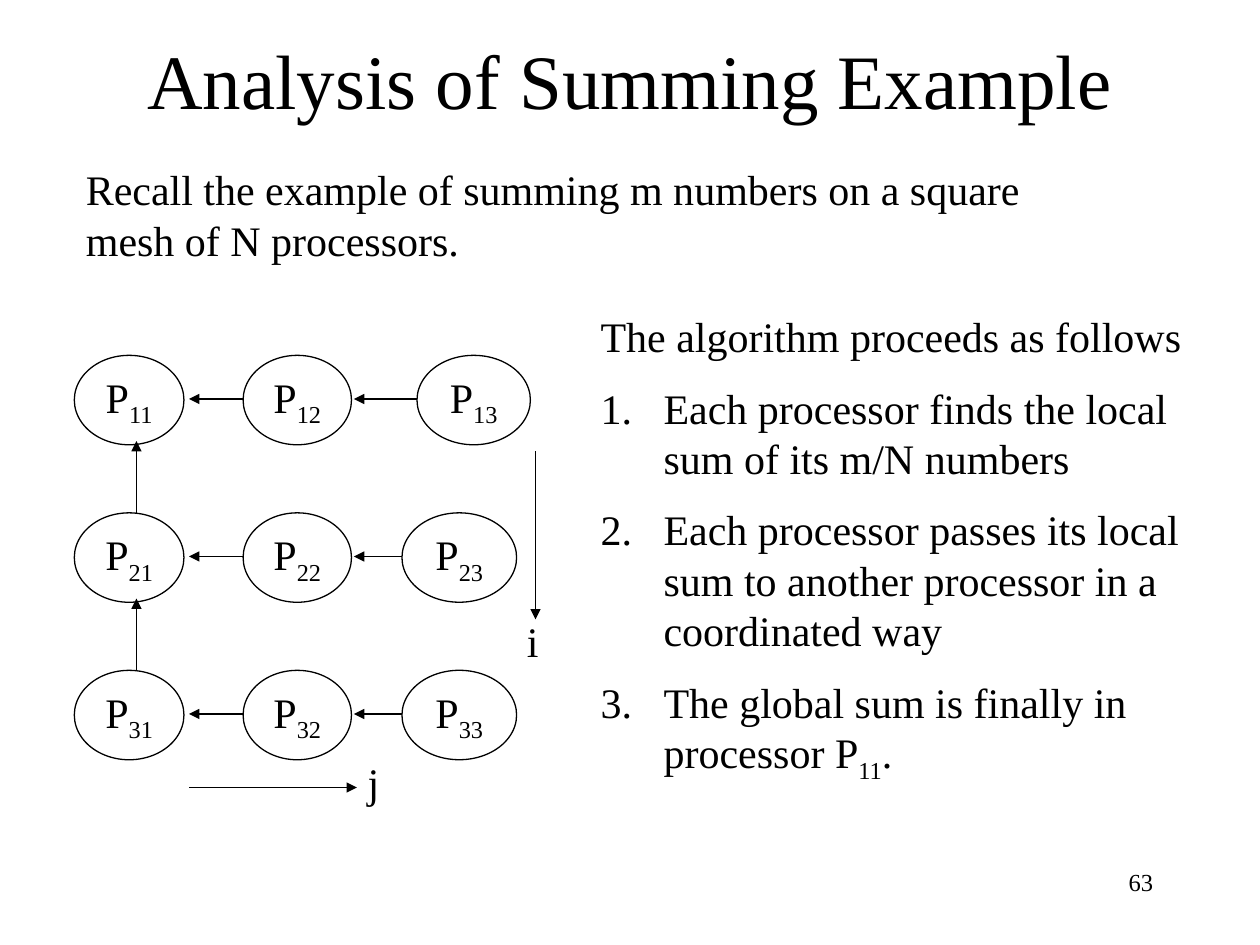
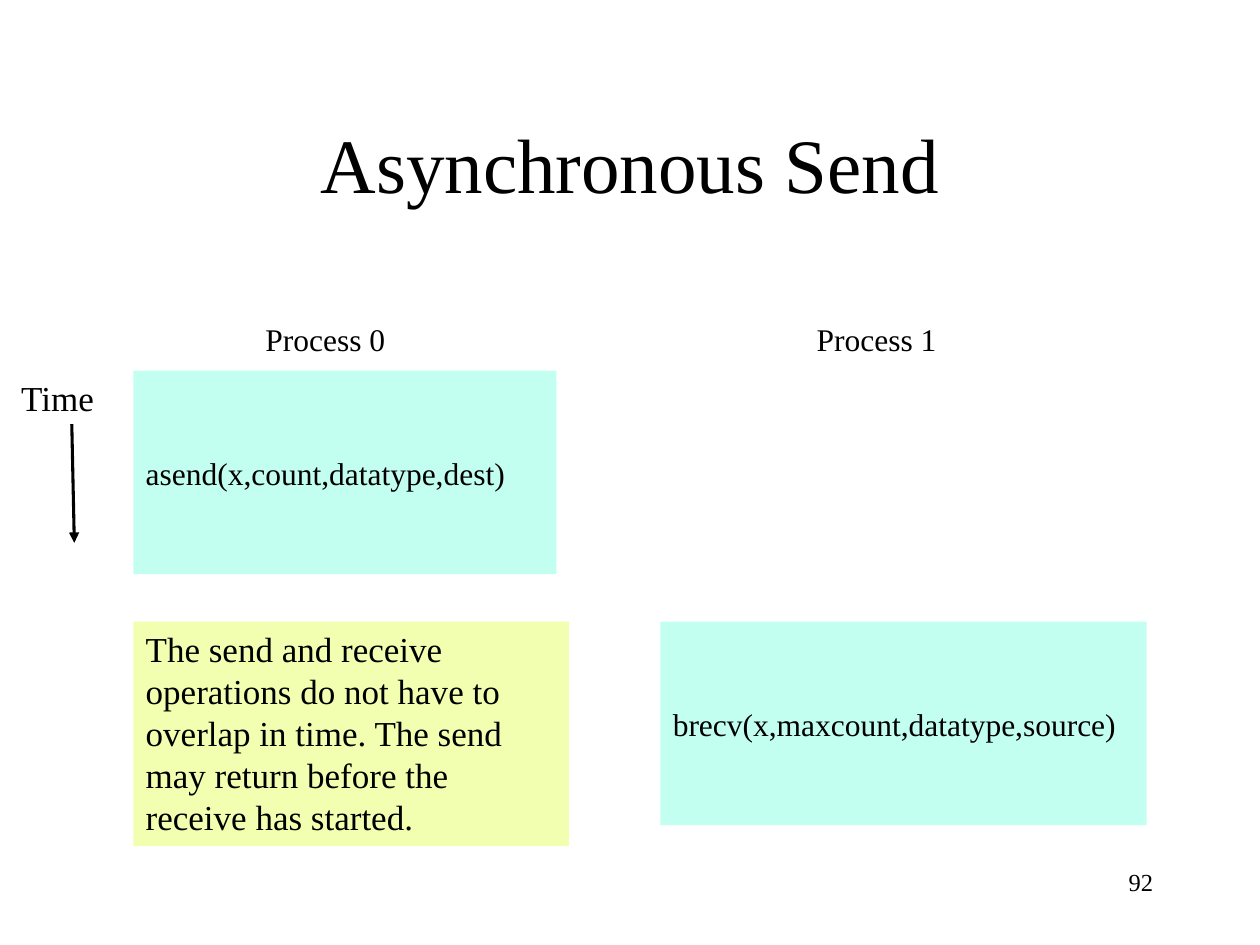
"""Build the summing and asynchronous send slides."""
from dataclasses import dataclass
from typing import NamedTuple

from lxml.etree import SubElement
from pptx import Presentation
from pptx.dml.color import RGBColor
from pptx.enum.shapes import MSO_CONNECTOR, MSO_SHAPE
from pptx.enum.text import MSO_ANCHOR, MSO_AUTO_SIZE, PP_ALIGN
from pptx.oxml.ns import qn
from pptx.shapes.base import BaseShape
from pptx.slide import Slide
from pptx.util import Inches, Pt


@dataclass(frozen=True)
class Theme:
    """Colours, type and line sizes of the deck."""
    font: str = "Times New Roman"
    ink: RGBColor = RGBColor(0, 0, 0)
    paper: RGBColor = RGBColor(255, 255, 255)
    call: RGBColor = RGBColor(0xC2, 0xFF, 0xF0)
    note: RGBColor = RGBColor(0xF3, 0xFF, 0xB0)
    title: int = 44
    body: int = 24
    remark: int = 20
    code: int = 18
    number: int = 14
    thin: float = 0.75
    thick: float = 1.75
    gap: int = 12


class Frame(NamedTuple):
    """A rectangle in grid columns and rows."""
    left: float
    top: float
    width: float
    height: float


class Span(NamedTuple):
    """A piece of text, on the line or as subscript."""
    text: str
    lowered: bool = False


class Arrow(NamedTuple):
    """A line with its head at the end, in grid columns and rows."""
    start_column: float
    start_row: float
    end_column: float
    end_row: float


class Label(NamedTuple):
    """A text box with its type size."""
    text: str
    frame: Frame
    size: int
    wrap: bool = True


class Panel(NamedTuple):
    """A filled rectangle holding left-aligned text."""
    text: str
    frame: Frame
    fill: RGBColor
    size: int
    anchor: MSO_ANCHOR


class Oval(NamedTuple):
    """The left edge and width of a processor oval."""
    left: float
    width: float


THEME = Theme()
SLIDE_WIDTH, SLIDE_HEIGHT = Inches(10), Inches(7.5)
COLUMNS, ROWS = 120, 90
NUMBER_FRAME = Frame(86, 82, 25, 6)
TITLE_HEIGHT = 15

FIRST_OVALS = (Oval(7.08, 10.44), Oval(23.16, 10.32), Oval(39.72, 10.8))
OTHER_OVALS = FIRST_OVALS[:2] + (Oval(38.28, 10.92),)
MESH = (FIRST_OVALS, OTHER_OVALS, OTHER_OVALS)
MESH_PITCH = 15
ARROW_STARTS = (25, 40.7)
ARROW_LENGTH = 7

INTRO = "Recall the example of summing m numbers on a square mesh of N processors."
STEPS = (
    (Span("The algorithm proceeds as follows"),),
    (Span("Each processor finds the local sum of its m/N numbers"),),
    (Span("Each processor passes its local sum to another processor in a coordinated way"),),
    (Span("The global sum is finally in processor P"), Span("11", True), Span(".")),
)
SUMMING_LABELS = (
    Label("j", Frame(33.84, 71.5, 3.5, 6), THEME.body, False),
    Label("i", Frame(49, 58, 3.5, 6), THEME.body, False),
    Label(INTRO, Frame(7, 15, 97, 10.8), THEME.body),
)
AXES = (Arrow(18, 75, 34, 75), Arrow(51, 43, 51, 59))

SEND_LABELS = (
    Label("Process 0", Frame(24.1, 29.9, 16.1, 4.8), THEME.code),
    Label("Process 1", Frame(76.6, 29.9, 16.1, 4.8), THEME.code),
    Label("Time", Frame(0.84, 35.3, 11.9, 5.3), THEME.remark),
)
PANELS = (
    Panel("asend(x,count,datatype,dest)", Frame(12.7, 35.3, 40.3, 19.4),
          THEME.call, THEME.code, MSO_ANCHOR.MIDDLE),
    Panel("brecv(x,maxcount,datatype,source)", Frame(62.9, 59.2, 46.3, 19.4),
          THEME.call, THEME.code, MSO_ANCHOR.MIDDLE),
    Panel("The send and receive operations do not have to overlap in time. "
          "The send may return before the receive has started.",
          Frame(12.7, 59.2, 41.5, 21.4), THEME.note, THEME.remark, MSO_ANCHOR.TOP),
)


def across(columns: float) -> int:
    """Turn grid columns into a length."""
    return round(SLIDE_WIDTH * columns / COLUMNS)


def down(rows: float) -> int:
    """Turn grid rows into a length."""
    return round(SLIDE_HEIGHT * rows / ROWS)


def place(frame: Frame) -> tuple[int, int, int, int]:
    """Give the position and size of a frame."""
    return across(frame.left), down(frame.top), across(frame.width), down(frame.height)


def write(para, spans: tuple[Span, ...], size: int, align: PP_ALIGN = PP_ALIGN.LEFT) -> None:
    """Add spans to a paragraph, run by run."""
    para.alignment = align
    for span in spans:
        run = para.add_run()
        run.text = span.text
        run.font.name = THEME.font
        run.font.size = Pt(size)
        run.font.color.rgb = THEME.ink
        if span.lowered:
            run.font._element.set("baseline", "-25000")


def settle(box: BaseShape, frame: Frame, anchor: MSO_ANCHOR) -> None:
    """Move a placeholder and fix how its text sits."""
    box.left, box.top, box.width, box.height = place(frame)
    box.text_frame.auto_size = MSO_AUTO_SIZE.NONE
    box.text_frame.word_wrap = True
    box.text_frame.vertical_anchor = anchor


def add_label(page: Slide, label: Label, align: PP_ALIGN = PP_ALIGN.LEFT) -> None:
    """Add a text box."""
    box = page.shapes.add_textbox(*place(label.frame))
    box.text_frame.word_wrap = label.wrap
    write(box.text_frame.paragraphs[0], (Span(label.text),), label.size, align)


def add_filled(page: Slide, kind: MSO_SHAPE, frame: Frame, fill: RGBColor) -> BaseShape:
    """Add a flat shape without an outline."""
    shape = page.shapes.add_shape(kind, *place(frame))
    shape.shadow.inherit = False
    shape.fill.solid()
    shape.fill.fore_color.rgb = fill
    shape.line.fill.background()
    return shape


def add_panel(page: Slide, panel: Panel) -> None:
    """Add a filled rectangle with text."""
    shape = add_filled(page, MSO_SHAPE.RECTANGLE, panel.frame, panel.fill)
    shape.text_frame.word_wrap = True
    shape.text_frame.vertical_anchor = panel.anchor
    write(shape.text_frame.paragraphs[0], (Span(panel.text),), panel.size)


def add_processor(page: Slide, frame: Frame, index: str) -> None:
    """Add an outlined oval named P with an index."""
    shape = add_filled(page, MSO_SHAPE.OVAL, frame, THEME.paper)
    shape.line.color.rgb = THEME.ink
    shape.line.width = Pt(THEME.thin)
    shape.text_frame.word_wrap = False
    shape.text_frame.vertical_anchor = MSO_ANCHOR.MIDDLE
    write(shape.text_frame.paragraphs[0], (Span("P"), Span(index, True)),
          THEME.body, PP_ALIGN.CENTER)


def add_arrow(page: Slide, arrow: Arrow, width: float = THEME.thin) -> None:
    """Add a line ending in a triangle."""
    line = page.shapes.add_connector(
        MSO_CONNECTOR.STRAIGHT, across(arrow.start_column), down(arrow.start_row),
        across(arrow.end_column), down(arrow.end_row))
    line.line.color.rgb = THEME.ink
    line.line.width = Pt(width)
    SubElement(line.line._get_or_add_ln(), qn("a:tailEnd"), type="triangle")
    SubElement(line._element.spPr, qn("a:effectLst"))


def add_mesh(page: Slide) -> None:
    """Draw the processor mesh with its message arrows."""
    for row, ovals in enumerate(MESH):
        shift = row * MESH_PITCH
        for start in ARROW_STARTS:
            add_arrow(page, Arrow(start, 38 + shift, start - ARROW_LENGTH, 38 + shift))
        if row:
            add_arrow(page, Arrow(13, 34 + shift, 13, 34 + shift - ARROW_LENGTH))
        for column, oval in enumerate(ovals):
            frame = Frame(oval.left, 33.84 + shift, oval.width, 8.52)
            add_processor(page, frame, f"{row + 1}{column + 1}")


def fill_steps(box: BaseShape) -> None:
    """Write the lead line and the numbered steps."""
    settle(box, Frame(56, 29, 58, 46.7), MSO_ANCHOR.TOP)
    for position, spans in enumerate(STEPS):
        para = box.text_frame.add_paragraph() if position else box.text_frame.paragraphs[0]
        properties = para._p.get_or_add_pPr()
        properties.set("marL", str(across(6)))
        properties.set("indent", str(-across(6)))
        if position:
            SubElement(properties, qn("a:buFont"), typeface=THEME.font)
            SubElement(properties, qn("a:buAutoNum"), type="arabicPeriod")
        else:
            SubElement(properties, qn("a:buNone"))
        para.space_before = Pt(THEME.gap if position else 0)
        write(para, spans, THEME.body)


def add_page(deck, layout: int, title: str, title_top: float, number: str) -> Slide:
    """Add a slide with its title and page number."""
    page = deck.slides.add_slide(deck.slide_layouts[layout])
    settle(page.shapes.title, Frame(9, title_top, 102, TITLE_HEIGHT), MSO_ANCHOR.MIDDLE)
    write(page.shapes.title.text_frame.paragraphs[0], (Span(title),),
          THEME.title, PP_ALIGN.CENTER)
    add_label(page, Label(number, NUMBER_FRAME, THEME.number), PP_ALIGN.RIGHT)
    return page


def build_summing(deck) -> None:
    """Build the slide on summing over a mesh."""
    page = add_page(deck, 1, "Analysis of Summing Example", 0, "63")
    fill_steps(page.placeholders[1])
    add_mesh(page)
    for axis in AXES:
        add_arrow(page, axis)
    for label in SUMMING_LABELS:
        add_label(page, label)


def build_send(deck) -> None:
    """Build the slide on the asynchronous send."""
    page = add_page(deck, 5, "Asynchronous Send", 8, "92")
    for label in SEND_LABELS:
        add_label(page, label)
    for panel in PANELS:
        add_panel(page, panel)
    add_arrow(page, Arrow(6.84, 40.4, 7.08, 51.7), THEME.thick)


def main() -> None:
    """Build and save the deck."""
    deck = Presentation()
    deck.slide_width, deck.slide_height = SLIDE_WIDTH, SLIDE_HEIGHT
    build_summing(deck)
    build_send(deck)
    deck.save("out.pptx")


if __name__ == "__main__":
    main()
